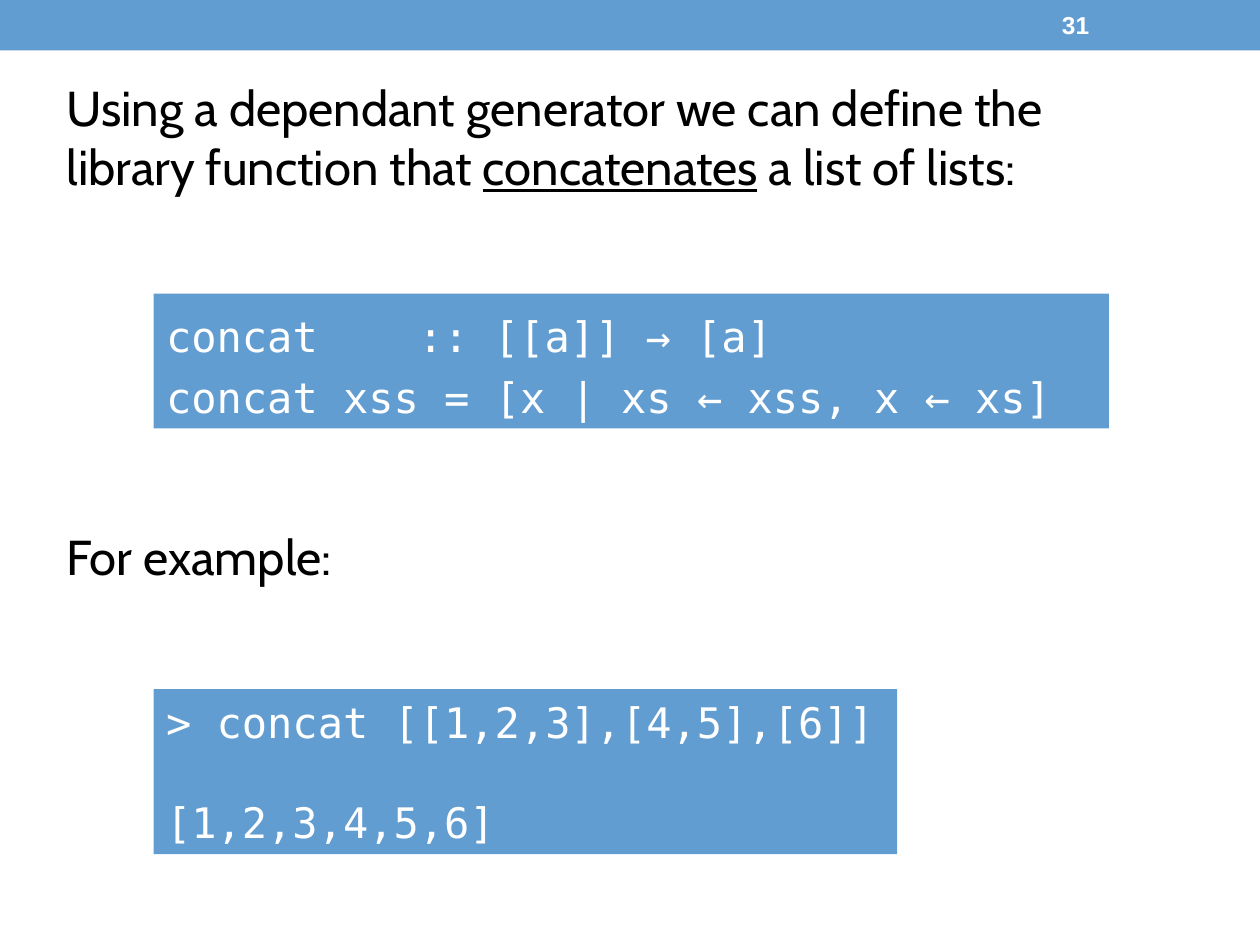
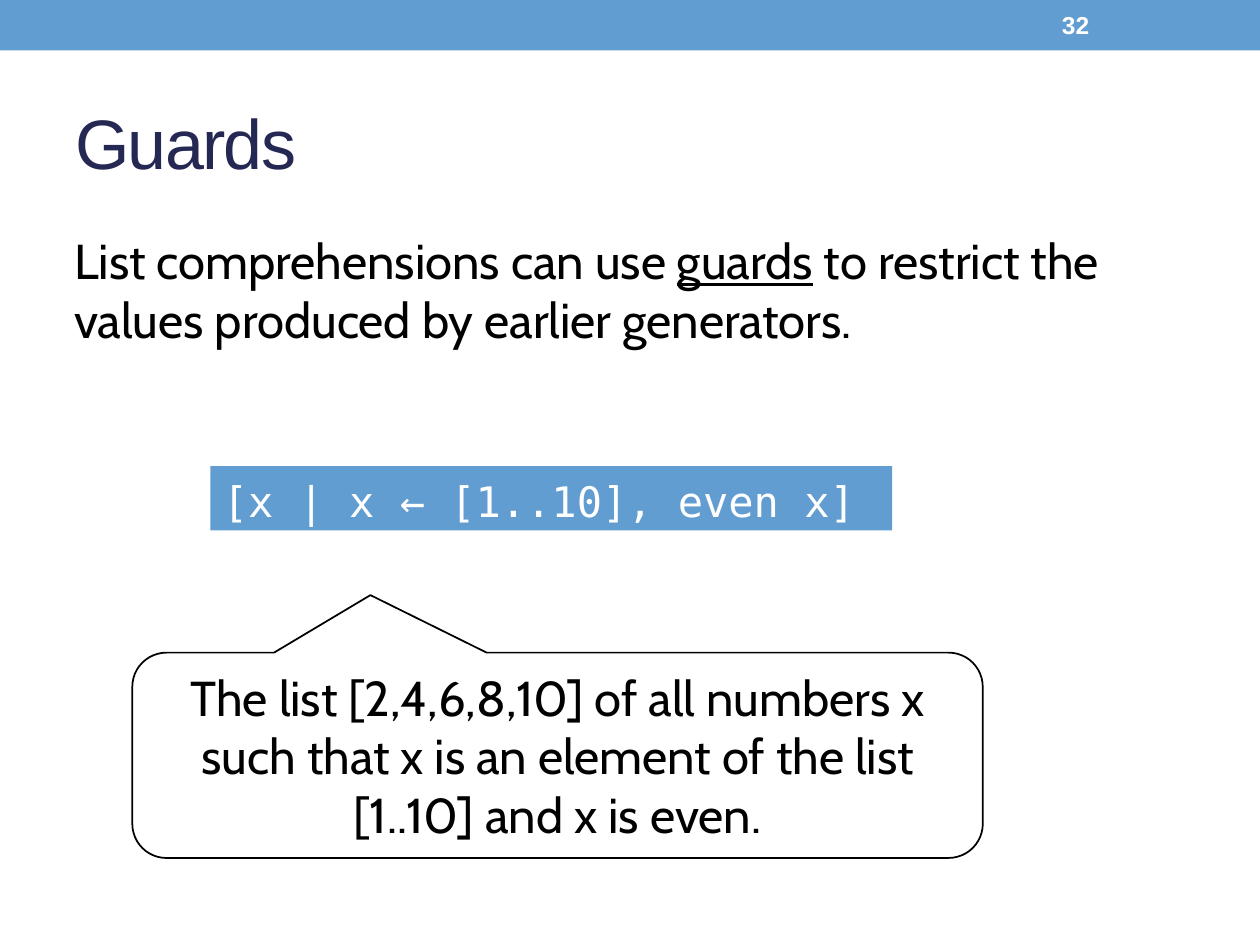
from pptx import Presentation
from pptx.dml.color import RGBColor
from pptx.enum import shapes, text
from pptx.oxml import ns, xmlchemy
from pptx.util import Inches, Pt

BLUE = RGBColor(0x62, 0x9D, 0xD1)
NAVY = RGBColor(0x24, 0x28, 0x52)
BLACK = RGBColor(0, 0, 0)
WHITE = RGBColor(255, 255, 255)

HEADING_FONT, BODY_FONT, CODE_FONT = "Arial", "Cabin", "DejaVu Sans Mono"
BODY_SIZE, CODE_SIZE = 28, 24
CODE_COLUMN = Inches(0.2)  # width of one code character


def box(at):
    return [Inches(length) for length in at]


def prepare_frame(holder):
    frame = holder.text_frame
    frame.word_wrap = True
    frame.vertical_anchor = text.MSO_ANCHOR.MIDDLE
    return frame


def add_run(paragraph, words, font, size, color, bold=False, underline=False):
    run = paragraph.add_run()
    run.text = words
    run.font.name = font
    run.font.size = Pt(size)
    run.font.color.rgb = color
    run.font.bold = bold
    run.font.underline = underline
    return run


def add_plain_shape(slide, kind, at):
    shape = slide.shapes.add_shape(kind, *box(at))
    shape.shadow.inherit = False
    return shape


def add_blue_box(slide, at):
    blue_box = add_plain_shape(slide, shapes.MSO_SHAPE.RECTANGLE, at)
    blue_box.fill.solid()
    blue_box.fill.fore_color.rgb = BLUE
    blue_box.line.fill.background()
    return blue_box


def add_numbered_slide(prs, number):
    """Blank slide with the top band and its slide number."""
    slide = prs.slides.add_slide(prs.slide_layouts[6])
    add_blue_box(slide, (0, 0, 10, 0.4))
    frame = prepare_frame(slide.shapes.add_textbox(*box((8.33, 0.02, 1.17, 0.36))))
    add_run(frame.paragraphs[0], str(number), HEADING_FONT, 14, WHITE, bold=True)
    return slide


def add_title(slide, words):
    frame = prepare_frame(slide.shapes.add_textbox(*box((0.5, 0.58, 9, 1.08))))
    run = add_run(frame.paragraphs[0], words, HEADING_FONT, 40, NAVY)
    run._r.get_or_add_rPr().set("spc", "-100")  # tighter letters


def add_statement(slide, at, before, keyword="", after=""):
    """Body sentence, with an optional underlined keyword."""
    frame = prepare_frame(slide.shapes.add_textbox(*box(at)))
    for words, underline in ((before, False), (keyword, True), (after, False)):
        if words:
            add_run(frame.paragraphs[0], words, BODY_FONT, BODY_SIZE, BLACK,
                    underline=underline)


def set_tab_stop(paragraph, position):
    properties = paragraph._p.get_or_add_pPr()
    stops = xmlchemy.OxmlElement("a:tabLst")
    stop = xmlchemy.OxmlElement("a:tab")
    stop.set("pos", str(int(position)))
    stop.set("algn", "l")
    stops.append(stop)
    later = properties.find(ns.qn("a:defRPr"))
    if later is None:
        properties.append(stops)
    else:
        later.addprevious(stops)


def add_code(slide, at, lines, line_spacing=1.0, gap=0, tab_column=None):
    """Code panel; gap is the space in points between its lines."""
    frame = prepare_frame(add_blue_box(slide, at))
    for index, line in enumerate(lines):
        paragraph = frame.add_paragraph() if index else frame.paragraphs[0]
        paragraph.alignment = text.PP_ALIGN.LEFT
        paragraph.line_spacing = line_spacing
        if index:
            paragraph.space_before = Pt(gap)
        if "\t" in line:
            set_tab_stop(paragraph, tab_column * CODE_COLUMN)
        add_run(paragraph, line, CODE_FONT, CODE_SIZE, WHITE)


def add_callout(slide, at, pointer, words):
    callout = add_plain_shape(
        slide, shapes.MSO_SHAPE.ROUNDED_RECTANGULAR_CALLOUT, at)
    callout.adjustments[0], callout.adjustments[1] = pointer
    callout.fill.background()
    callout.line.color.rgb = BLACK
    callout.line.width = Pt(1)
    paragraph = prepare_frame(callout).paragraphs[0]
    paragraph.alignment = text.PP_ALIGN.CENTER
    add_run(paragraph, words, BODY_FONT, BODY_SIZE, BLACK)


def build_concat_slide(prs):
    slide = add_numbered_slide(prs, 31)
    add_statement(slide, (0.43, 0.57, 8.86, 1.03),
                  "Using a dependant generator we can define the library function that ",
                  "concatenates", " a list of lists:")
    add_code(slide, (1.22, 2.33, 7.58, 1.07),
             ["concat\t:: [[a]] → [a]",
              "concat xss = [x | xs ← xss, x ← xs]"],
             line_spacing=1.2, tab_column=10)
    add_statement(slide, (0.43, 4.13, 2.6, 0.57), "For example:")
    add_code(slide, (1.22, 5.47, 5.9, 1.31),
             ["> concat [[1,2,3],[4,5],[6]]", "[1,2,3,4,5,6]"], gap=28)


def build_guards_slide(prs):
    slide = add_numbered_slide(prs, 32)
    add_title(slide, "Guards")
    add_statement(slide, (0.49, 1.78, 8.98, 1.03),
                  "List comprehensions can use ", "guards",
                  " to restrict the values produced by earlier generators.")
    add_code(slide, (1.67, 3.7, 5.41, 0.51),
             ["[x | x ← [1..10], even x]"], line_spacing=1.1)
    add_callout(slide, (1.05, 5.18, 6.75, 1.63), (-0.22, -0.78),
                "The list [2,4,6,8,10] of all numbers x such that x is an "
                "element of the list [1..10] and x is even.")


def main():
    prs = Presentation()
    prs.slide_width, prs.slide_height = Inches(10), Inches(7.5)
    build_concat_slide(prs)
    build_guards_slide(prs)
    prs.save("out.pptx")


if __name__ == "__main__":
    main()
